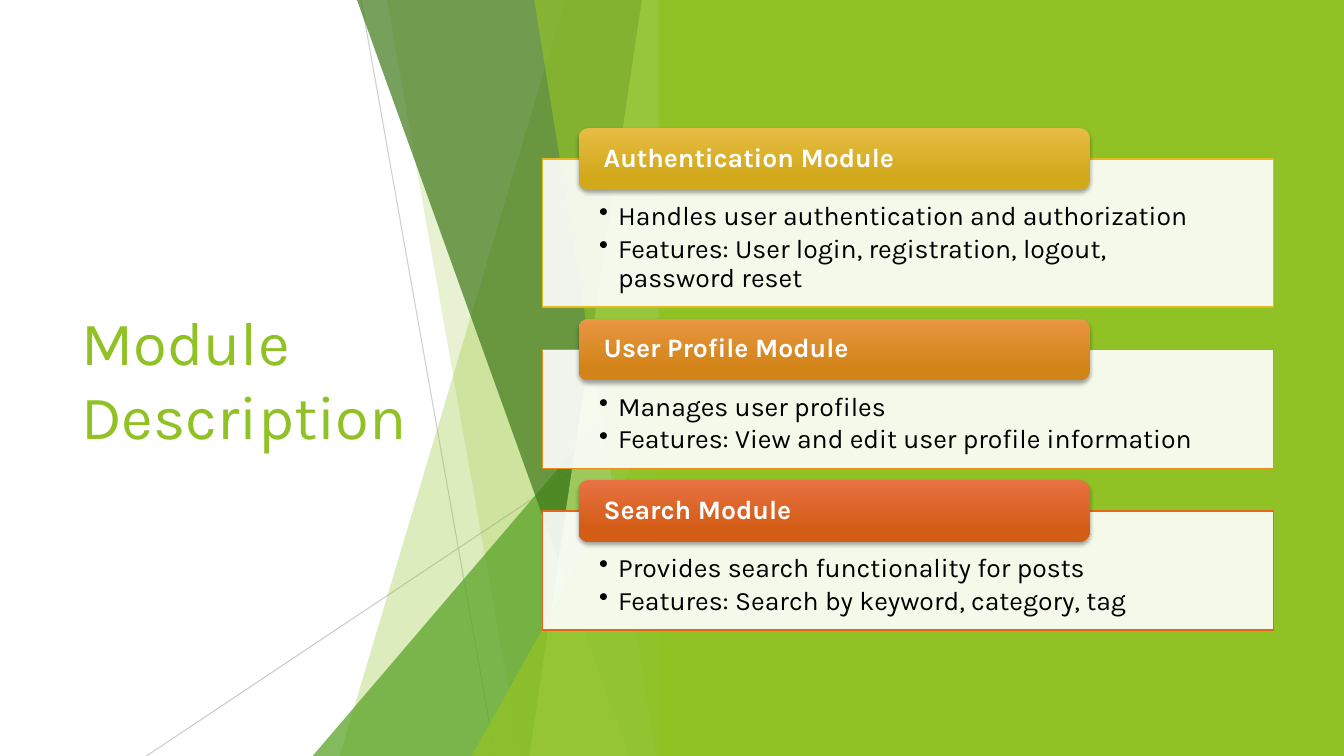
from lxml import etree
from pptx import Presentation
from pptx import util as u
from pptx.dml.color import RGBColor
from pptx.enum import shapes, text
from pptx.oxml.ns import qn

LIME = RGBColor(0x90, 0xC2, 0x26)
GREEN = RGBColor(0x54, 0xA0, 0x21)
DARK_GREEN = RGBColor(0x3F, 0x78, 0x19)
PALE_GREEN = RGBColor(0xC0, 0xE4, 0x74)
GREY = RGBColor(0xBF, 0xBF, 0xBF)
WHITE = RGBColor(0xFF, 0xFF, 0xFF)
BLACK = RGBColor(0, 0, 0)

# Content; lengths in centimetres
TITLE = "Module Description"
MODULES = [  # heading, features, panel height, border, tab gradient
    ("Authentication Module",
     ["Handles user authentication and authorization",
      "Features: User login, registration, logout, password reset"],
     3.73, RGBColor(0xE6, 0xB9, 0x1E),
     (RGBColor(0xE7, 0xBC, 0x43), RGBColor(0xD2, 0xA9, 0x1B))),
    ("User Profile Module",
     ["Manages user profiles",
      "Features: View and edit user profile information"],
     3.0, RGBColor(0xE6, 0x90, 0x1B),
     (RGBColor(0xE8, 0x97, 0x43), RGBColor(0xD3, 0x84, 0x19))),
    ("Search Module",
     ["Provides search functionality for posts",
      "Features: Search by keyword, category, tag"],
     3.0, RGBColor(0xE7, 0x66, 0x18),
     (RGBColor(0xE8, 0x72, 0x42), RGBColor(0xD3, 0x5D, 0x16))),
]
RAYS = [((9.1, 0), (12.48, 19.05), 75), ((16.93, 10.23), (3.69, 19.05), 80)]
FACETS = [  # kind, geometry, colour, opacity %
    ("band", (14.25, 8.56), LIME, 30),  # left edge at the top and bottom
    ("band", (9.75, 13.11), LIME, 20),
    ("corner", (7.88, 8.46), GREEN, 72),  # left and top
    ("band", (8.99, 15.85), DARK_GREEN, 70),
    ("band", (16.18, 13.34), PALE_GREEN, 70),
    ("band", (13.46, 16.54), LIME, 65),
    ("corner", (11.89, 9.98), LIME, 80),
]
SLIDE_W, SLIDE_H = 33.87, 19.05
FACET_RIGHT, FACET_TOP = 16.93, -0.02
BACKDROP_LEFT = 16.6
PANEL_LEFT, PANEL_W = 13.67, 18.42
TAB_LEFT, TAB_W, TAB_H = 14.58, 12.88, 1.55
FIRST_TAB_TOP, PANEL_DROP, MODULE_GAP = 3.23, 0.78, 0.29
BULLET_INDENT = 0.48


def set_all(target, **values):
    for name, value in values.items():
        setattr(target, name, value)


def set_opacity(element, percent):
    for colour in element.iter(qn("a:srgbClr")):
        etree.SubElement(colour, qn("a:alpha"), val=str(percent * 1000))


def paint(shape, colour, opacity=100):
    shape.shadow.inherit = False
    shape.fill.solid()
    shape.fill.fore_color.rgb = colour
    if opacity < 100:
        set_opacity(shape.element.spPr, opacity)
    shape.line.fill.background()


def add_preset(kind, left, top, width, height):
    return slide.shapes.add_shape(
        kind, u.Cm(left), u.Cm(top), u.Cm(width), u.Cm(height))


def frame_text(shape, anchor, left, top, right, bottom):
    set_all(shape.text_frame, word_wrap=True, vertical_anchor=anchor,
            auto_size=text.MSO_AUTO_SIZE.NONE,
            margin_left=u.Cm(left), margin_top=u.Cm(top),
            margin_right=u.Cm(right), margin_bottom=u.Cm(bottom))
    return shape.text_frame


def write(paragraph, words, size, colour, bold=False, spacing=0.9):
    paragraph.text = words
    set_all(paragraph, alignment=text.PP_ALIGN.LEFT, line_spacing=spacing)
    set_all(paragraph.font, name="Karla", size=u.Pt(size), bold=bold)
    paragraph.font.color.rgb = colour


def add_bullet(paragraph):
    props = paragraph._p.get_or_add_pPr()
    props.set("marL", str(u.Cm(BULLET_INDENT)))
    props.set("indent", str(-u.Cm(BULLET_INDENT)))
    etree.SubElement(props, qn("a:buChar"), char="•")


prs = Presentation()
set_all(prs, slide_width=u.Cm(SLIDE_W), slide_height=u.Cm(SLIDE_H))
slide = prs.slides.add_slide(prs.slide_layouts[5])

# Title
title = slide.shapes.title
set_all(title, left=u.Cm(1.8), top=u.Cm(3.84),
        width=u.Cm(9.86), height=u.Cm(11.38))
title_frame = frame_text(title, text.MSO_ANCHOR.MIDDLE, 0.25, 0.13, 0.25, 0.13)
write(title_frame.paragraphs[0], TITLE, 44, LIME, spacing=1.0)

# Thin rays behind the facets
for start, end, opacity in RAYS:
    ray = slide.shapes.add_connector(
        shapes.MSO_CONNECTOR.STRAIGHT, *map(u.Cm, start + end))
    ray.line.color.rgb = GREY
    ray.line.width = u.Pt(0.75)
    set_opacity(ray.element.spPr, opacity)
    etree.SubElement(ray.element.spPr, qn("a:effectLst"))

# Translucent facets, all ending at the same right edge
for kind, (first, second), colour, opacity in FACETS:
    if kind == "band":
        outline = slide.shapes.build_freeform(u.Cm(first), u.Cm(FACET_TOP))
        outline.add_line_segments(
            [(u.Cm(x), u.Cm(y)) for x, y in [
                (FACET_RIGHT, FACET_TOP), (FACET_RIGHT, SLIDE_H),
                (second, SLIDE_H)]], close=True)
        facet = outline.convert_to_shape()
    else:
        facet = add_preset(shapes.MSO_SHAPE.ISOSCELES_TRIANGLE, first, second,
                           FACET_RIGHT - first, SLIDE_H - second)
        facet.adjustments[0] = 1
    paint(facet, colour, opacity)

# Green backdrop on the right
backdrop = add_preset(shapes.MSO_SHAPE.RECTANGLE, BACKDROP_LEFT, 0,
                      SLIDE_W - BACKDROP_LEFT, SLIDE_H)
paint(backdrop, LIME)

# Modules: a bordered panel with a heading tab over its top edge
tab_top = FIRST_TAB_TOP
for heading, features, panel_h, border, gradient in MODULES:
    panel_top = tab_top + PANEL_DROP
    panel = add_preset(shapes.MSO_SHAPE.RECTANGLE,
                       PANEL_LEFT, panel_top, PANEL_W, panel_h)
    paint(panel, WHITE, 90)
    panel.line.color.rgb = border
    panel.line.width = u.Pt(1)
    frame = frame_text(panel, text.MSO_ANCHOR.TOP, 1.43, 1.1, 1.43, 0.38)
    for number, feature in enumerate(features):
        item = frame.add_paragraph() if number else frame.paragraphs[0]
        add_bullet(item)
        write(item, feature, 19, BLACK)
        item.space_after = u.Pt(2.85)

    tab = add_preset(shapes.MSO_SHAPE.ROUNDED_RECTANGLE,
                     TAB_LEFT, tab_top, TAB_W, TAB_H)
    tab.fill.gradient()
    tab.fill.gradient_angle = 270
    for stop, colour, position in zip(tab.fill.gradient_stops, gradient, (0, 0.78)):
        stop.color.rgb = colour
        stop.position = position
    tab.line.fill.background()
    tab.shadow.inherit = False
    effects = tab.element.spPr.find(qn("a:effectLst"))
    shadow = etree.SubElement(
        effects, qn("a:outerShdw"), blurRad=str(u.Pt(3)), dist=str(u.Pt(2)),
        dir="5400000", algn="ctr", rotWithShape="0")
    etree.SubElement(shadow, qn("a:srgbClr"), val=str(BLACK))
    set_opacity(shadow, 35)
    tab_frame = frame_text(tab, text.MSO_ANCHOR.MIDDLE, 0.56, 0, 0.56, 0)
    write(tab_frame.paragraphs[0], heading, 19, WHITE, bold=True)

    tab_top = panel_top + panel_h + MODULE_GAP

prs.save("out.pptx")
